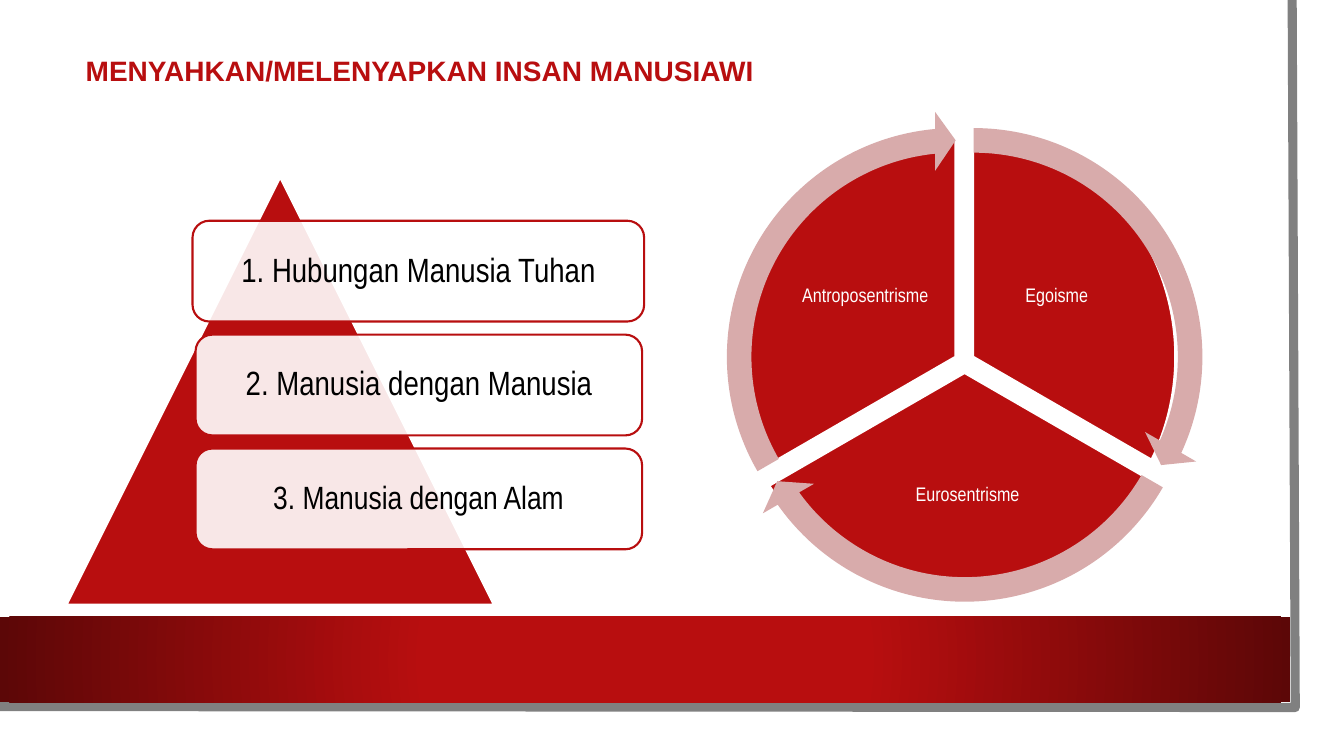
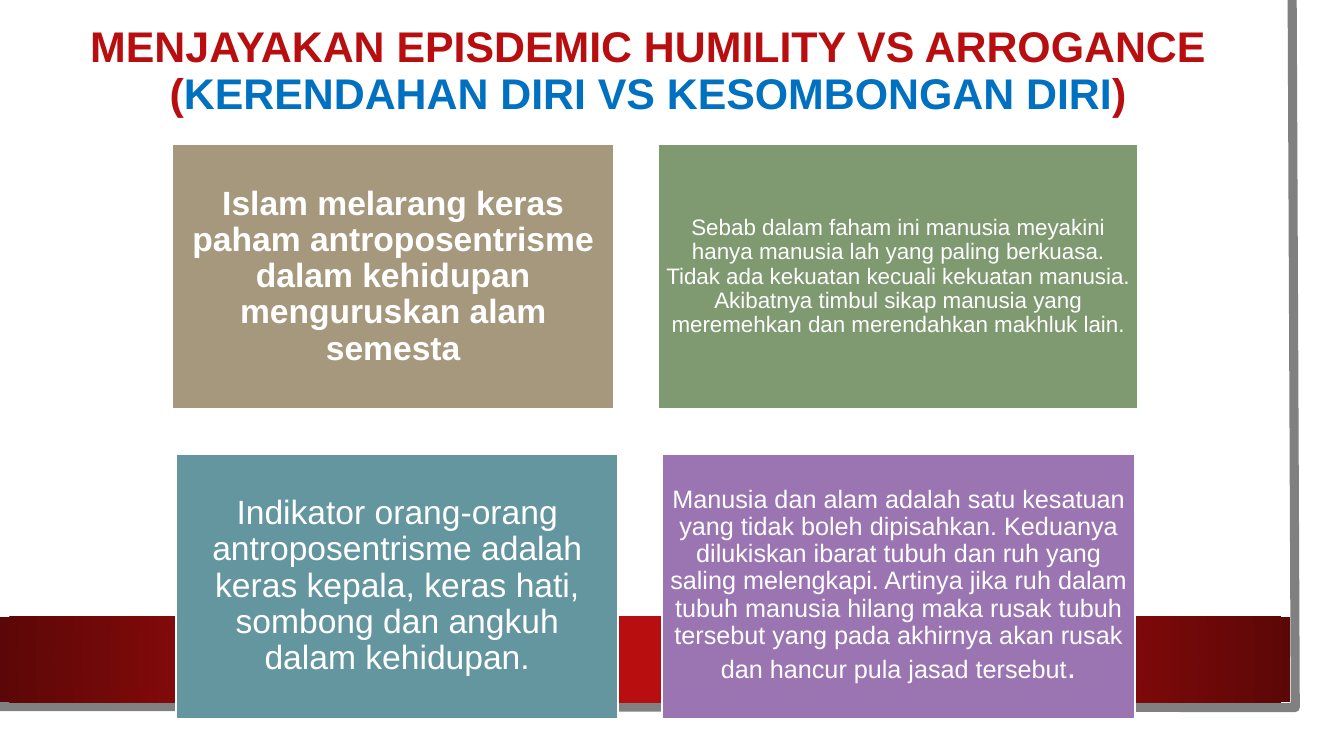
import copy

import lxml.etree
import pptx
import pptx.dml.color
import pptx.enum.shapes
import pptx.enum.text
import pptx.oxml.ns
import pptx.util

Pt = pptx.util.Pt
SHAPE = pptx.enum.shapes.MSO_SHAPE
ALIGN = pptx.enum.text.PP_ALIGN
qn = pptx.oxml.ns.qn


def color(value):
    return pptx.dml.color.RGBColor.from_string(value)


class SlideBuilder:
    """Holds the shared style and draws on the current slide."""

    RED, DARK_RED, PINK = "B80E0F", "5C0707", "D8ABAB"
    WHITE, BLACK, GRAY, BLUE = "FFFFFF", "000000", "808080", "0070C0"
    BODY_FONT, NARROW_FONT = "Arial", "Arial Narrow"
    OUTLINE = 1.5

    def __init__(self):
        self.deck = pptx.Presentation()
        self.deck.slide_width, self.deck.slide_height = Pt(960), Pt(540)
        self.layout = self.deck.slide_layouts[5]
        self.slide = None

    def new_slide(self):
        self.slide = self.deck.slides.add_slide(self.layout)
        if len(self.deck.slides) == 1:
            self.background()

    def background(self):
        """Draw paper, frame and band once, then move them to the layout."""
        paper = self.shape(SHAPE.RECTANGLE, (0, 0, 943.2, 523.4), self.WHITE)

        outline = self.slide.shapes.build_freeform(Pt(923), Pt(0))
        corners = [(Pt(925.2), Pt(505.4)), (Pt(-2.2), Pt(504.7))]
        outline.add_line_segments(corners, close=False)
        frame = outline.convert_to_shape()
        frame.shadow.inherit = False
        frame.fill.background()
        frame.line.color.rgb = color(self.GRAY)
        frame.line.width = Pt(6.5)

        band = self.shape(SHAPE.RECTANGLE, (0, 440.6, 921.6, 61.2), self.RED)
        band.fill.gradient()
        stops = ((0.34, self.RED), (1, self.DARK_RED))
        for stop, (position, value) in zip(band.fill.gradient_stops, stops):
            stop.position = position
            stop.color.rgb = color(value)
        gradient = band.element.spPr.find(qn("a:gradFill"))
        gradient.remove(gradient.find(qn("a:lin")))
        circle = lxml.etree.SubElement(gradient, qn("a:path"), path="circle")
        sides = dict.fromkeys("ltrb", "50000")
        lxml.etree.SubElement(circle, qn("a:fillToRect"), sides)

        for index, part in enumerate((paper, frame, band), start=2):
            self.layout.shapes.element.insert(index, part.element)

    def shape(self, kind, area, fill, line=None, adjustments=(), opacity=None):
        shape = self.slide.shapes.add_shape(kind, *map(Pt, area))
        shape.shadow.inherit = False
        for index, value in enumerate(adjustments):
            shape.adjustments[index] = value
        shape.fill.solid()
        shape.fill.fore_color.rgb = color(fill)
        if opacity:
            solid = shape.element.spPr.find(qn("a:solidFill"))
            lxml.etree.SubElement(solid[0], qn("a:alpha"), val=str(opacity * 1000))
        if line:
            shape.line.color.rgb = color(line)
            shape.line.width = Pt(self.OUTLINE)
        else:
            shape.line.fill.background()
        return shape

    def style(self, span, size, value, font, bold=False):
        span.font.name, span.font.size, span.font.bold = font, Pt(size), bold
        span.font.color.rgb = color(value)

    def set_text(self, box, text, size, value, font, bold=False, inset=None, align=ALIGN.CENTER):
        frame = box.text_frame
        frame.text = text
        frame.word_wrap = True
        frame.auto_size = pptx.enum.text.MSO_AUTO_SIZE.NONE
        frame.vertical_anchor = pptx.enum.text.MSO_ANCHOR.MIDDLE
        if inset is not None:
            frame.margin_left = frame.margin_right = Pt(inset)
            frame.margin_top = frame.margin_bottom = Pt(inset)
        para = frame.paragraphs[0]
        para.alignment, para.line_spacing = align, 0.9
        for span in para.runs:
            self.style(span, size, value, font, bold)
        return para

    def title(self, text, area, size, align, extra=()):
        """Fill the title; extra holds (text, colour) spans that follow."""
        box = self.slide.shapes.title
        box.left, box.top, box.width, box.height = map(Pt, area)
        para = self.set_text(box, text, size, self.RED, self.BODY_FONT, True, align=align)
        for words, value in extra:
            span = para.add_run()
            span.text = words
            self.style(span, size, value, self.BODY_FONT, True)
        for line_break in box.element.iter(qn("a:br")):
            properties = line_break.getprevious().find(qn("a:rPr"))
            line_break.insert(0, copy.deepcopy(properties))

    def label(self, text, area):
        box = self.slide.shapes.add_textbox(*map(Pt, area))
        self.set_text(box, text, 14, self.WHITE, self.NARROW_FONT, inset=1.4)

    def relation(self, text, area, size):
        box = self.shape(SHAPE.ROUNDED_RECTANGLE, area, self.WHITE, self.RED, opacity=90)
        self.set_text(box, text, size, self.BLACK, self.NARROW_FONT, inset=7.2)

    def card(self, text, area, fill, size, inset, bold=False):
        box = self.shape(SHAPE.RECTANGLE, area, fill, self.WHITE)
        return self.set_text(box, text, size, self.WHITE, self.BODY_FONT, bold, inset)


def human_relations(builder):
    builder.new_slide()
    builder.title("MENYAHKAN/MELENYAPKAN INSAN MANUSIAWI", (54, 18, 818.6, 67.7), 20, ALIGN.LEFT)

    builder.shape(SHAPE.ISOSCELES_TRIANGLE, (47.5, 126.7, 305.3, 305.3),
                  builder.RED, builder.WHITE)
    relations = (
        ("1. Hubungan Manusia Tuhan", 137.5, 322.6, 24),
        ("2. Manusia dengan Manusia", 139.7, 319, 24),
        ("3. Manusia dengan Alam", 139.7, 319, 23),
    )
    for index, (text, left, width, size) in enumerate(relations):
        builder.relation(text, (left, 157.7 + 81.35 * index, width, 72), size)

    # Angles are in units of 5/3 degree, the scale of the adjustments.
    sectors = (
        ("Egoisme", (550.8, 98.6, 288.7, 312.5), (162, 18), (703.4, 164.9, 103, 92.9)),
        ("Eurosentrisme", (526.3, 110.2, 325.4, 312.5), (18, 90), (604.1, 312.5, 174.2, 82.1)),
        ("Antroposentrisme", (526.3, 98.6, 312.5, 312.5), (90, 162), (562.3, 164.9, 111.6, 92.9)),
    )
    for text, area, angles, label_area in sectors:
        builder.shape(SHAPE.PIE, area, builder.RED, builder.WHITE, angles)
        builder.label(text, label_area)

    arrows = ((519.8, 79.2, 14.72, 161.99), (513.4, 90.7, 86.72, 18), (506.9, 79.2, 158.73, 90))
    for left, top, end, start in arrows:
        builder.shape(SHAPE.CIRCULAR_ARROW, (left, top, 351.4, 351.4), builder.PINK,
                      adjustments=(0.05, 3.28, end, start, 0.06))


def humility(builder):
    builder.new_slide()
    builder.title("MENJAYAKAN EPISDEMIC HUMILITY VS ARROGANCE\v(", (33.8, 18, 858.2, 67), 30.6,
                  ALIGN.CENTER,
                  (("KERENDAHAN DIRI VS KESOMBONGAN DIRI", builder.BLUE), (")", builder.RED)))

    top, bottom, height = 103, 324, 189.4
    builder.card("Islam melarang keras paham antroposentrisme dalam kehidupan "
                 "menguruskan alam semesta",
                 (123.1, top, 315.4, height), "A6987D", 24, 7.2, bold=True)
    builder.card("Sebab dalam faham ini manusia meyakini hanya manusia lah yang paling "
                 "berkuasa. Tidak ada kekuatan kecuali kekuatan manusia. Akibatnya timbul "
                 "sikap manusia yang meremehkan dan merendahkan makhluk lain.",
                 (470.2, top, 342.7, height), "7F9A71", 16, 4.8)
    builder.card("Indikator orang-orang antroposentrisme adalah keras kepala, keras hati, "
                 "sombong dan angkuh dalam kehidupan.",
                 (126, bottom, 315.4, height), "64969F", 24, 7.2)
    para = builder.card("Manusia dan alam adalah satu kesatuan yang tidak boleh dipisahkan. "
                        "Keduanya dilukiskan ibarat tubuh dan ruh yang saling melengkapi. "
                        "Artinya jika ruh dalam tubuh manusia hilang maka rusak tubuh tersebut "
                        "yang pada akhirnya akan rusak dan hancur pula jasad tersebut",
                        (473, bottom, 337.7, height), "9B75B2", 18, 4.8)
    full_stop = para.add_run()
    full_stop.text = "."
    builder.style(full_stop, 24, builder.WHITE, builder.BODY_FONT)


def main():
    builder = SlideBuilder()
    human_relations(builder)
    humility(builder)
    builder.deck.save("out.pptx")


if __name__ == "__main__":
    main()
